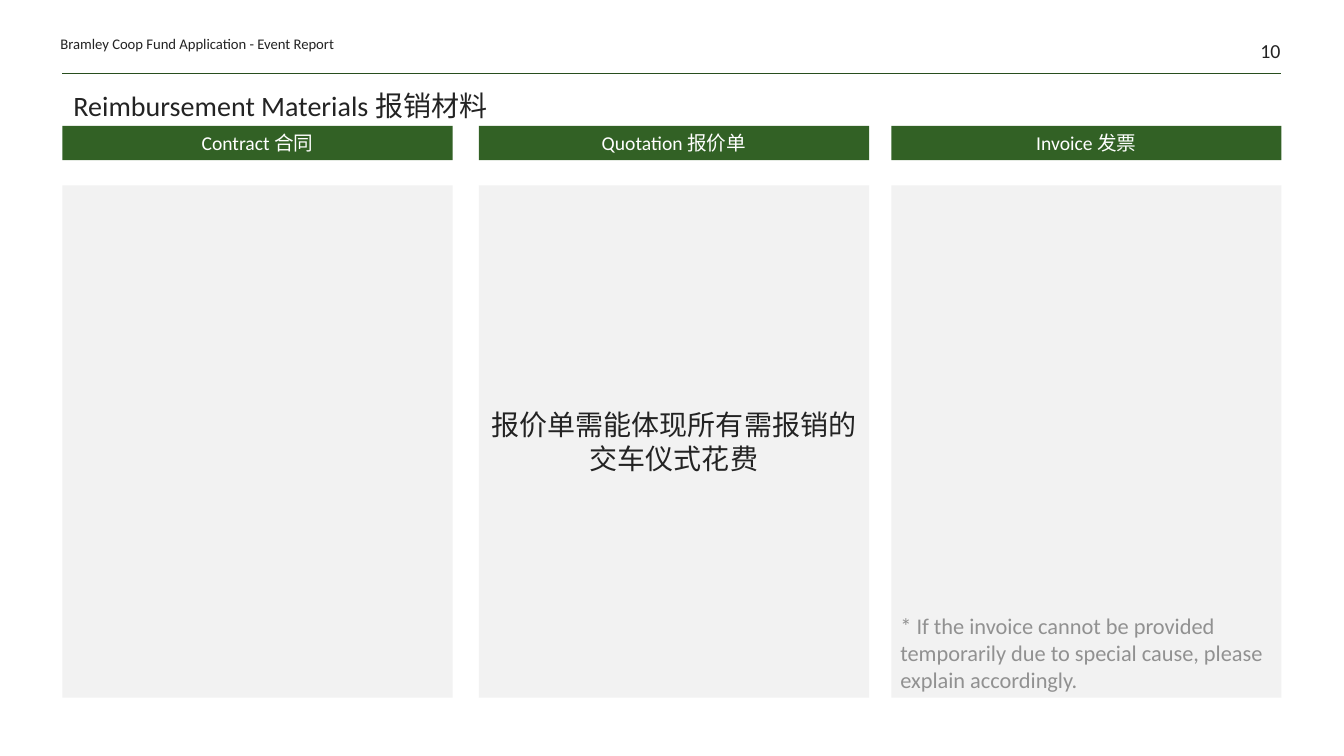
import pptx
import pptx.util
import pptx.dml.color
import pptx.enum.shapes
import pptx.enum.text
import pptx.oxml.ns
from lxml import etree

Inches = pptx.util.Inches
Pt = pptx.util.Pt
RGBColor = pptx.dml.color.RGBColor
ALIGN = pptx.enum.text.PP_ALIGN
ANCHOR = pptx.enum.text.MSO_ANCHOR

GREEN = RGBColor(0x32, 0x61, 0x25)
RULE_GREEN = RGBColor(0x28, 0x4E, 0x1E)
PANEL = RGBColor(0xF2, 0xF2, 0xF2)
INK = RGBColor(0x23, 0x23, 0x23)
GREY = RGBColor(0x91, 0x91, 0x91)
WHITE = RGBColor(0xFF, 0xFF, 0xFF)

LEFT, WIDTH = 0.62, 12.09
COLUMN_WIDTH = 3.87
COLUMNS = [
    (0.62, "Contract 合同", "", 20, INK, ALIGN.CENTER, ANCHOR.MIDDLE),
    (4.75, "Quotation 报价单", "报价单需能体现所有需报销的交车仪式花费",
     20, INK, ALIGN.CENTER, ANCHOR.MIDDLE),
    (8.84, "Invoice 发票",
     "* If the invoice cannot be provided temporarily due to special cause, "
     "please explain accordingly.", 16, GREY, ALIGN.LEFT, ANCHOR.BOTTOM),
]


def write(sp, text, size, color, align, anchor, insets=(0.1, 0.05)):
    tf = sp.text_frame
    tf.word_wrap = True
    tf.vertical_anchor = anchor
    tf.margin_left = tf.margin_right = Inches(insets[0])
    tf.margin_top = tf.margin_bottom = Inches(insets[1])
    p = tf.paragraphs[0]
    p.text = text
    p.alignment = align
    p.font.name = "Calibri"
    p.font.size = Pt(size)
    p.font.color.rgb = color
    return p


def add_label(s, x, y, w, h, text, size, align=ALIGN.LEFT, insets=(0, 0)):
    sp = s.shapes.add_textbox(Inches(x), Inches(y), Inches(w), Inches(h))
    return write(sp, text, size, INK, align, ANCHOR.BOTTOM, insets)


def add_block(s, x, y, w, h, fill):
    sp = s.shapes.add_shape(pptx.enum.shapes.MSO_SHAPE.RECTANGLE,
                            Inches(x), Inches(y), Inches(w), Inches(h))
    sp.shadow.inherit = False
    sp.fill.solid()
    sp.fill.fore_color.rgb = fill
    sp.line.fill.background()
    return sp


def add_header(s, x, y, w, h):
    rule = s.shapes.add_connector(pptx.enum.shapes.MSO_CONNECTOR.STRAIGHT,
                                  Inches(x), Inches(y + h), Inches(x + w), Inches(y + h))
    rule.line.color.rgb = RULE_GREEN
    rule.line.width = Pt(0.5)
    etree.SubElement(rule._element.spPr, pptx.oxml.ns.qn("a:effectLst"))
    add_label(s, x + w - 0.84, y, 0.83, h - 0.11, "10", 14.2, ALIGN.RIGHT)
    add_label(s, x - 0.02, y + 0.29, 4.17, 0.23,
              "Bramley Coop Fund Application - Event Report", 10.5)


def add_title(s, x, y, w, h):
    p = add_label(s, x, y, w, h, "Reimbursement Materials 报销材料", 20,
                  insets=(0.1, 0.05))
    p.line_spacing = 0.85


def add_column(s, x, y, w, h, heading, body, size, color, align, anchor):
    bar = add_block(s, x, y, w, 0.34, GREEN)
    write(bar, heading, 14, WHITE, ALIGN.CENTER, ANCHOR.MIDDLE)
    panel = add_block(s, x, y + 0.59, w, h - 0.59, PANEL)
    if body:
        write(panel, body, size, color, align, anchor, (0.09, 0.05))


def main():
    prs = pptx.Presentation()
    prs.slide_width = Inches(13.33)
    prs.slide_height = Inches(7.5)
    s = prs.slides.add_slide(prs.slide_layouts[6])
    add_header(s, LEFT, 0, WIDTH, 0.73)
    add_title(s, LEFT + 0.01, 0.74, WIDTH, 0.52)
    for x, *content in COLUMNS:
        add_column(s, x, 1.25, COLUMN_WIDTH, 5.67, *content)
    prs.save("out.pptx")


if __name__ == "__main__":
    main()
